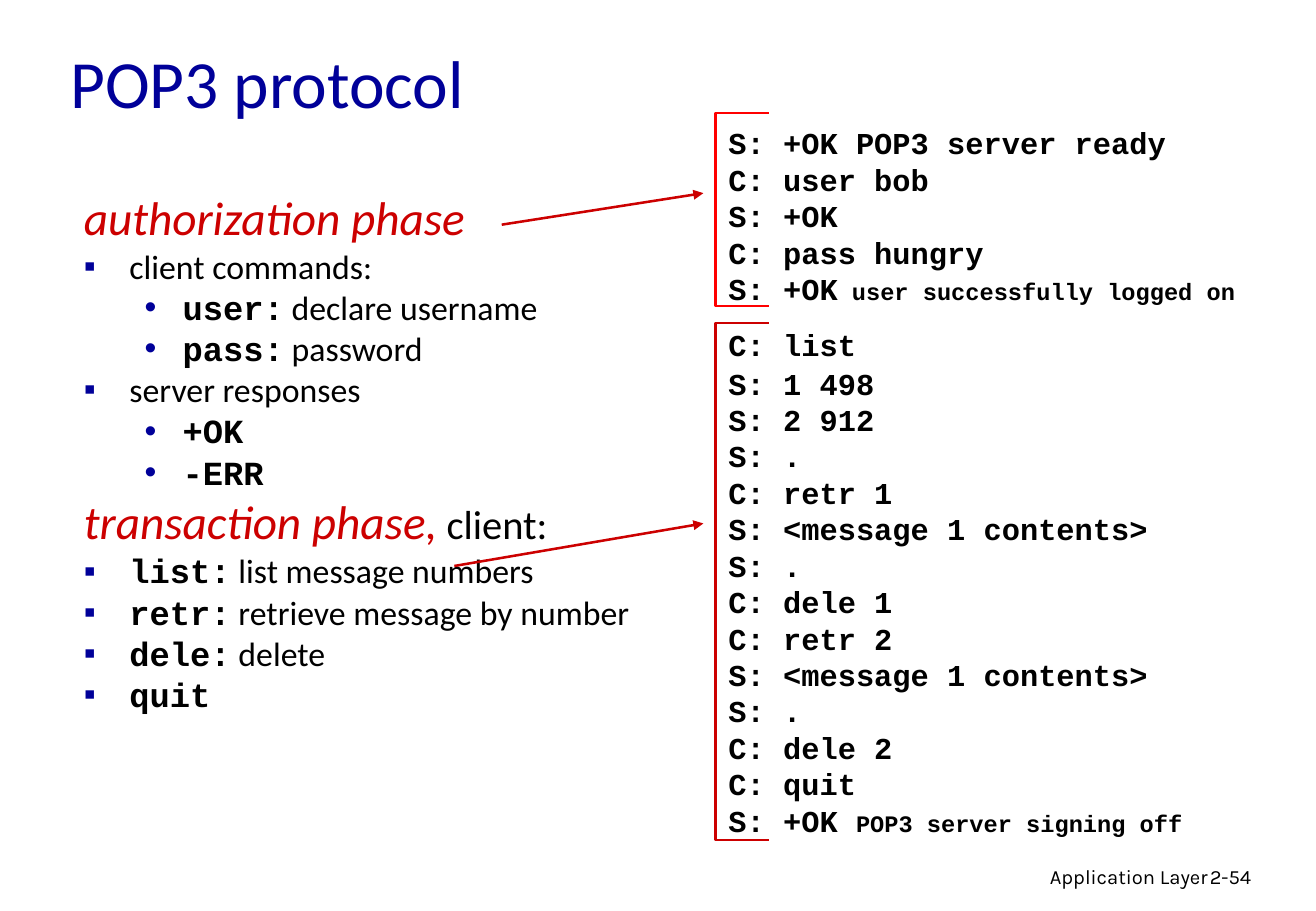
import dataclasses

import pptx
import pptx.dml.color
import pptx.enum.shapes
import pptx.enum.text
import pptx.oxml
import pptx.oxml.ns
import pptx.util

Pt = pptx.util.Pt


@dataclasses.dataclass(frozen=True)
class Style:
    size: float
    font: str = "Calibri"
    color: str = "000000"
    bold: bool = False
    italic: bool = False


@dataclasses.dataclass(frozen=True)
class Theme:
    bullet: str = "000099"
    red: str = "CC0000"
    bright_red: str = "FF0000"
    line_width: float = 1.5
    title: Style = Style(40, color="000099")
    phase: Style = Style(28, color="CC0000", italic=True)
    actor: Style = Style(24)
    text: Style = Style(20)
    command: Style = Style(20, "Courier New", bold=True)
    dialog: Style = Style(18, "Courier New", bold=True)
    remark: Style = Style(14, "Courier New", bold=True)
    footer: Style = Style(12, "Karla")


THEME = Theme()

# Each line: kind, then pairs of text and style
PHASES = [
    ("heading", ("authorization phase", THEME.phase)),
    ("item", ("client commands:", THEME.text)),
    ("subitem", ("user:", THEME.command), (" declare username", THEME.text)),
    ("subitem", ("pass:", THEME.command), (" password", THEME.text)),
    ("item", ("server responses", THEME.text)),
    ("subitem", ("+OK", THEME.command)),
    ("subitem", ("-ERR", THEME.command)),
    ("heading", ("transaction phase,", THEME.phase), (" client:", THEME.actor)),
    ("item", ("list:", THEME.command), (" list message numbers", THEME.text)),
    ("item", ("retr:", THEME.command), (" retrieve message by number", THEME.text)),
    ("item", ("dele:", THEME.command), (" delete", THEME.text)),
    ("item", ("quit", THEME.command)),
]
# Kind: level, left margin, hanging indent, bullet
LEVELS = {
    "heading": (0, 27, 27, None),
    "item": (0, 27, 27, "▪"),
    "subitem": (1, 58.5, 22.5, "•"),
}
AUTHORIZATION = [
    "S: +OK POP3 server ready", "C: user bob", "S: +OK", "C: pass hungry", "S: +OK",
]
TRANSACTION = [
    "C: list", "S: 1 498", "S: 2 912", "S: .", "C: retr 1",
    "S: <message 1 contents>", "S: .", "C: dele 1", "C: retr 2",
    "S: <message 1 contents>", "S: .", "C: dele 2", "C: quit", "S: +OK ",
]


def rgb(color):
    return pptx.dml.color.RGBColor.from_string(color)


def format_run(run, style):
    run.font.name = style.font
    run.font.size = Pt(style.size)
    run.font.bold = style.bold
    run.font.italic = style.italic
    run.font.color.rgb = rgb(style.color)


def add_run(paragraph, text, style):
    run = paragraph.add_run()
    run.text = text
    format_run(run, style)


def place(shape, box):
    shape.left, shape.top, shape.width, shape.height = map(Pt, box)


def set_bullet(paragraph, margin, hanging, character):
    properties = paragraph._p.get_or_add_pPr()
    properties.set("marL", str(Pt(margin)))
    properties.set("indent", str(-Pt(hanging)))
    namespace = pptx.oxml.ns.nsdecls("a")
    if character:
        parts = [
            f'<a:buClr {namespace}><a:srgbClr val="{THEME.bullet}"/></a:buClr>',
            f'<a:buChar {namespace} char="{character}"/>',
        ]
    else:
        parts = [f"<a:buNone {namespace}/>"]
    for part in parts:
        properties.append(pptx.oxml.parse_xml(part))


def fill_title(slide, box):
    title = slide.shapes.title
    place(title, box)
    title.text_frame.text = "POP3 protocol"
    title.text_frame.vertical_anchor = pptx.enum.text.MSO_ANCHOR.MIDDLE
    paragraph = title.text_frame.paragraphs[0]
    paragraph.alignment = pptx.enum.text.PP_ALIGN.LEFT
    format_run(paragraph.runs[0], THEME.title)


def fill_phases(slide, box):
    body = slide.placeholders[1]
    place(body, box)
    frame = body.text_frame
    frame.auto_size = pptx.enum.text.MSO_AUTO_SIZE.NONE
    for index, (kind, *runs) in enumerate(PHASES):
        paragraph = frame.add_paragraph() if index else frame.paragraphs[0]
        level, margin, hanging, character = LEVELS[kind]
        paragraph.level = level
        paragraph.line_spacing = 0.85
        paragraph.space_before = Pt(0.2 * runs[0][1].size)
        set_bullet(paragraph, margin, hanging, character)
        for text, style in runs:
            add_run(paragraph, text, style)


def add_dialog(slide, box, text_top, lines, remark, color, first_gap=0):
    """Draw a bracket along the left of the box and the dialog inside it."""
    left, top, width, height = box
    arm = 31.7
    builder = slide.shapes.build_freeform(Pt(left + arm), Pt(top), scale=1.0)
    corners = [(left, top), (left, top + height), (left + arm, top + height)]
    builder.add_line_segments([(Pt(x), Pt(y)) for x, y in corners], close=False)
    bracket = builder.convert_to_shape()
    bracket.shadow.inherit = False
    bracket.fill.background()
    bracket.line.color.rgb = rgb(color)
    bracket.line.width = Pt(THEME.line_width)

    text_box = slide.shapes.add_textbox(
        Pt(left + 0.7), Pt(top + text_top), Pt(width), Pt(height))
    frame = text_box.text_frame
    frame.word_wrap = False
    frame.text = "\n".join(lines)
    for paragraph in frame.paragraphs:
        paragraph.line_spacing = Pt(1.2 * THEME.dialog.size)
        format_run(paragraph.runs[0], THEME.dialog)
    frame.paragraphs[0].space_after = Pt(first_gap)
    add_run(frame.paragraphs[-1], remark, THEME.remark)


def add_arrow(slide, start, end):
    arrow = slide.shapes.add_connector(
        pptx.enum.shapes.MSO_CONNECTOR.STRAIGHT, *map(Pt, start + end))
    arrow.line.color.rgb = rgb(THEME.red)
    arrow.line.width = Pt(THEME.line_width)
    namespace = pptx.oxml.ns.nsdecls("a")
    arrow.line._get_or_add_ln().append(
        pptx.oxml.parse_xml(f'<a:tailEnd {namespace} type="triangle"/>'))
    arrow._element.spPr.append(pptx.oxml.parse_xml(f"<a:effectLst {namespace}/>"))


def add_footer(slide, box, text, alignment):
    frame = slide.shapes.add_textbox(*map(Pt, box)).text_frame
    frame.word_wrap = True
    frame.text = text
    frame.paragraphs[0].alignment = alignment
    format_run(frame.paragraphs[0].runs[0], THEME.footer)


def main():
    presentation = pptx.Presentation()
    presentation.slide_width, presentation.slide_height = Pt(780), Pt(540)
    slide = presentation.slides.add_slide(presentation.slide_layouts[1])
    fill_title(slide, (34.5, 10, 663, 76.5))
    fill_phases(slide, (42.5, 113, 339, 366))
    add_dialog(slide, (424, 67, 317, 114.5), 3.3, AUTHORIZATION,
               " user successfully logged on", THEME.bright_red)
    add_dialog(slide, (424, 191.5, 317, 306.5), -1.5, TRANSACTION,
               "POP3 server signing off", THEME.red, first_gap=1)
    add_arrow(slide, (297.4, 133.2), (416.9, 114.5))
    add_arrow(slide, (269.3, 335.5), (416.9, 310.3))
    add_footer(slide, (476, 509, 247, 22), "Application Layer",
               pptx.enum.text.PP_ALIGN.RIGHT)
    add_footer(slide, (710, 509, 57.5, 22), "2-54", pptx.enum.text.PP_ALIGN.LEFT)
    presentation.save("out.pptx")


if __name__ == "__main__":
    main()
